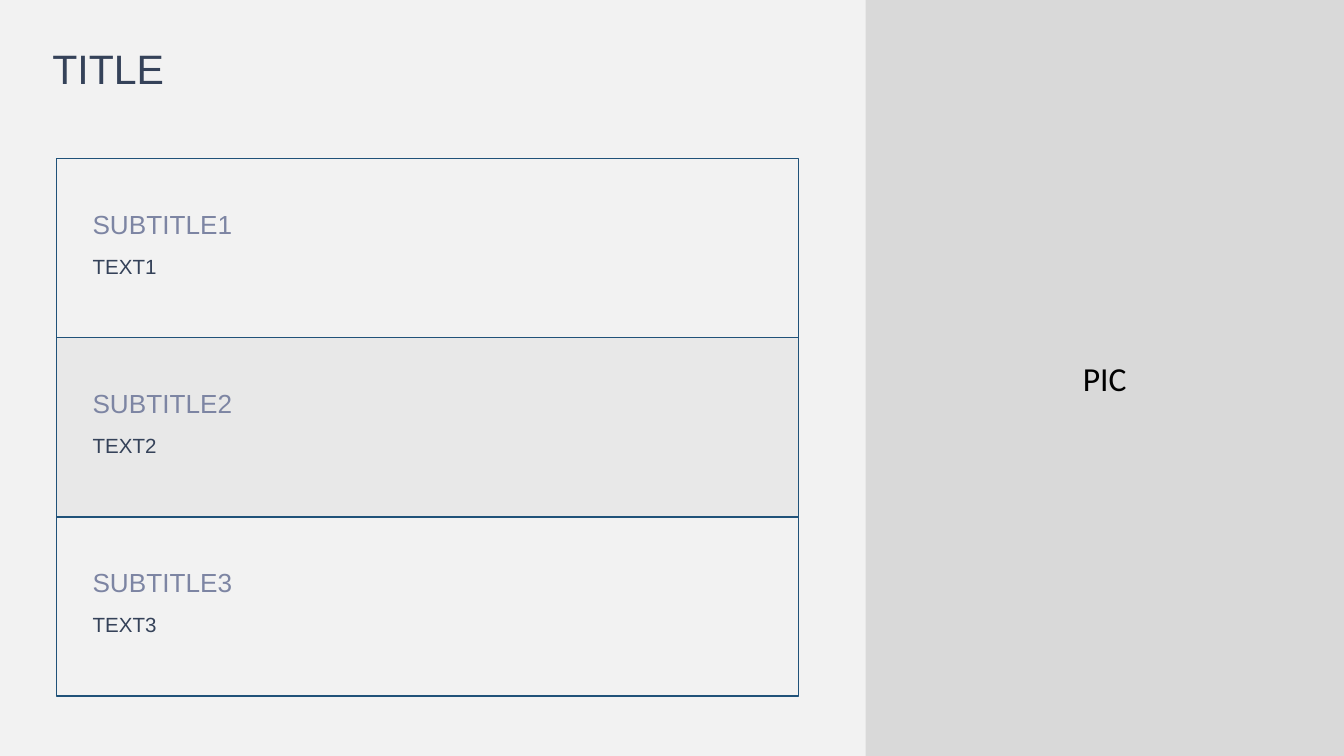
from lxml import etree
from pptx import Presentation
from pptx.dml.color import RGBColor
from pptx.enum.shapes import MSO_SHAPE
from pptx.enum.text import MSO_ANCHOR, MSO_AUTO_SIZE, PP_ALIGN
from pptx.oxml.ns import qn
from pptx.util import Inches, Pt

RECTANGLE = MSO_SHAPE.RECTANGLE
TOP, MIDDLE, BOTTOM = MSO_ANCHOR.TOP, MSO_ANCHOR.MIDDLE, MSO_ANCHOR.BOTTOM
LEFT, CENTER = PP_ALIGN.LEFT, PP_ALIGN.CENTER
NO_AUTOFIT = MSO_AUTO_SIZE.NONE

SLIDE_WIDTH = 10
SLIDE_HEIGHT = SLIDE_WIDTH * 9 / 16
COLORS = {
    "background": "F2F2F2",
    "picture": "D9D9D9",
    "border": "205279",
    "subtitle": "7D85A3",
    "text": "354259",
    "black": "000000",
    "white": "FFFFFF",
}
SECTIONS = [("SUBTITLE1", "TEXT1"), ("SUBTITLE2", "TEXT2"), ("SUBTITLE3", "TEXT3")]


def rgb(name):
    return RGBColor.from_string(COLORS[name])


def write(shape, words, size, color, anchor=TOP, align=LEFT, font="Arial"):
    frame = shape.text_frame
    frame.text = words
    frame.word_wrap = True
    frame.auto_size = NO_AUTOFIT
    frame.vertical_anchor = anchor
    paragraph = frame.paragraphs[0]
    paragraph.alignment = align
    run_font = paragraph.runs[0].font
    run_font.name = font
    run_font.size = Pt(size)
    run_font.color.rgb = rgb(color)


def add_rectangle(slide, left, top, width, height, fill, opacity=100):
    rectangle = slide.shapes.add_shape(
        RECTANGLE, Inches(left), Inches(top), Inches(width), Inches(height))
    rectangle.shadow.inherit = False
    rectangle.fill.solid()
    rectangle.fill.fore_color.rgb = rgb(fill)
    if opacity < 100:
        color = rectangle.fill._xPr.find(qn("a:solidFill"))[0]
        etree.SubElement(color, qn("a:alpha")).set("val", str(opacity * 1000))
    return rectangle


def add_text(slide, left, top, width, height, words, size, color, anchor=TOP):
    box = slide.shapes.add_textbox(
        Inches(left), Inches(top), Inches(width), Inches(height))
    write(box, words, size, color, anchor)


def place_title(slide, left, top, width, height):
    title = slide.shapes.title
    title.left, title.top = Inches(left), Inches(top)
    title.width, title.height = Inches(width), Inches(height)
    write(title, "TITLE", 22, "text")


def add_picture_area(slide, left, top, width, height):
    area = add_rectangle(slide, left, top, width, height, "picture")
    area.line.fill.background()
    write(area, "PIC", 18, "black", MIDDLE, CENTER, "Calibri")


def add_section(slide, left, top, width, height, subtitle, text, tint):
    panel = add_rectangle(slide, left, top, width, height, tint, opacity=4)
    panel.line.color.rgb = rgb("border")
    panel.line.width = Pt(0)
    inset = 0.17
    inner_width = width - 2 * inset
    add_text(slide, left + inset, top + 0.05, inner_width, 0.6,
             subtitle, 14, "subtitle", BOTTOM)
    add_text(slide, left + inset, top + 0.66, inner_width, 0.56, text, 11, "text")


def add_sections(slide, left, top, width, height):
    row_height = height / len(SECTIONS)
    for row, (subtitle, text) in enumerate(SECTIONS):
        tint = "black" if row % 2 else "white"
        add_section(slide, left, top + row * row_height, width, row_height,
                    subtitle, text, tint)


def main():
    presentation = Presentation()
    presentation.slide_width = Inches(SLIDE_WIDTH)
    presentation.slide_height = Inches(SLIDE_HEIGHT)
    slide = presentation.slides.add_slide(presentation.slide_layouts[5])
    slide.background.fill.solid()
    slide.background.fill.fore_color.rgb = rgb("background")

    # Picture area on the right
    add_picture_area(slide, 6.44, 0, SLIDE_WIDTH - 6.44, SLIDE_HEIGHT)
    # Stacked sections on the left
    add_sections(slide, 0.42, 1.18, 5.52, 4)
    # Heading
    place_title(slide, 0.29, 0.27, 5.96, 0.73)

    presentation.save("out.pptx")


if __name__ == "__main__":
    main()
